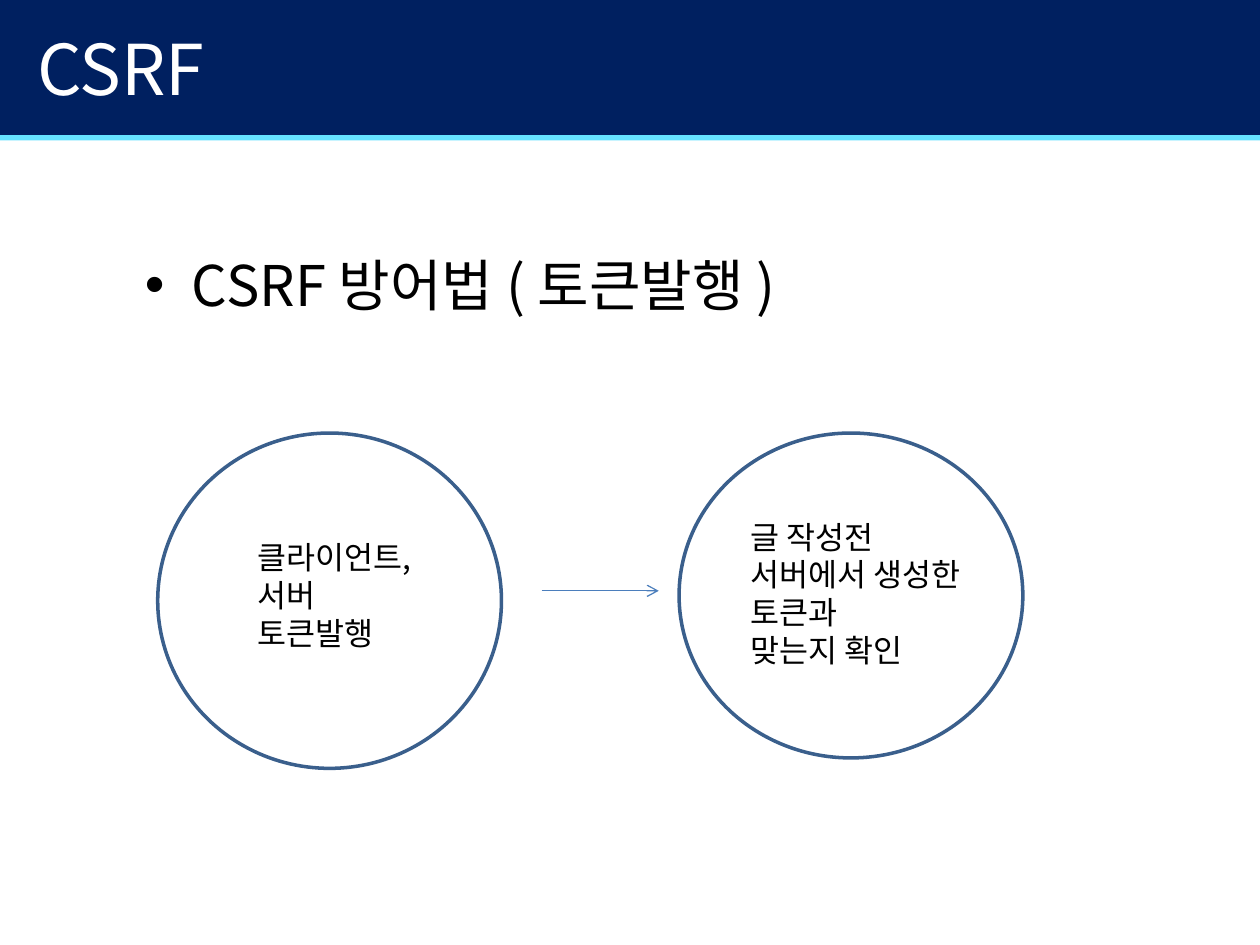
from lxml import etree
from pptx import Presentation
from pptx.dml.color import RGBColor
from pptx.enum import shapes, text
from pptx.oxml import ns
from pptx.util import Cm, Pt

FONT = "Noto Sans CJK KR"
NAVY = RGBColor(0x00, 0x20, 0x60)
CYAN = RGBColor(0x65, 0xE2, 0xFF)
BLUE = RGBColor(0x3A, 0x5F, 0x8C)
SKY = RGBColor(0x4B, 0x7E, 0xBC)
WHITE = RGBColor(0xFF, 0xFF, 0xFF)
BLACK = RGBColor(0x00, 0x00, 0x00)

# Content: places are left, top, width, height in cm
TITLE = "CSRF"
POINT = "CSRF 방어법 ( 토큰발행 )"
BANDS = [
    ((-0.02, 2.7, 25.43, 0.13), CYAN),
    ((-0.02, 0, 25.43, 2.72), NAVY),
]
STEPS = [
    {"ring": (3.18, 8.73, 6.93, 6.76), "note": (4.95, 10.72, 3.86, 2.57),
     "lines": ["클라이언트,", "서버", "토큰발행"]},
    {"ring": (13.69, 8.73, 6.93, 6.55), "note": (14.88, 10.31, 5.23, 3.33),
     "lines": ["글 작성전", "서버에서 생성한", "토큰과", "맞는지 확인"]},
]
ARROW = (10.92, 11.91, 13.28, 11.91)

deck = Presentation()
deck.slide_width, deck.slide_height = Cm(25.4), Cm(19.05)
slide = deck.slides.add_slide(deck.slide_layouts[6])


def add_sub(node, tag, **attrs):
    return etree.SubElement(node, ns.qn(tag), attrs)


def add_form(kind, box, fill=None, line=None):
    form = slide.shapes.add_shape(kind, *map(Cm, box))
    form.shadow.inherit = False
    if fill is None:
        form.fill.background()
    else:
        form.fill.solid()
        form.fill.fore_color.rgb = fill
    if line is None:
        form.line.fill.background()
    else:
        form.line.color.rgb = line
        form.line.width = Pt(2)


def add_text(lines, box, size=18, color=BLACK, wrap=True,
             anchor=text.MSO_ANCHOR.TOP, bullet=False):
    frame = slide.shapes.add_textbox(*map(Cm, box)).text_frame
    frame.word_wrap = wrap
    frame.vertical_anchor = anchor
    frame.text = "\n".join(lines)
    for para in frame.paragraphs:
        run = para.runs[0]
        run.font.name = FONT
        run.font.size = Pt(size)
        run.font.color.rgb = color
        add_sub(run.font._element, "a:ea", typeface=FONT)
        if bullet:
            para.space_before = Pt(size * 0.2)
            props = para._p.get_or_add_pPr()
            props.set("marL", str(Cm(0.95)))
            props.set("indent", str(-Cm(0.95)))
            add_sub(props, "a:buFont", typeface="Arial")
            add_sub(props, "a:buChar", char="•")


# Header
for box, color in BANDS:
    add_form(shapes.MSO_SHAPE.RECTANGLE, box, fill=color)
add_text([TITLE], (0.5, -0.23, 22.86, 3.18), size=40, color=WHITE,
         anchor=text.MSO_ANCHOR.MIDDLE)

# Main point
add_text([POINT], (2.67, 4.93, 20.07, 11.2), size=32, bullet=True)

# Steps
for step in STEPS:
    add_form(shapes.MSO_SHAPE.OVAL, step["ring"], line=BLUE)
    add_text(step["lines"], step["note"], wrap=False)

# Arrow between the steps
arrow = slide.shapes.add_connector(shapes.MSO_CONNECTOR.STRAIGHT, *map(Cm, ARROW))
arrow.line.color.rgb = SKY
arrow.line.width = Pt(0.75)
add_sub(arrow.line._get_or_add_ln(), "a:tailEnd", type="arrow")
add_sub(arrow._element.spPr, "a:effectLst")

deck.save("out.pptx")
